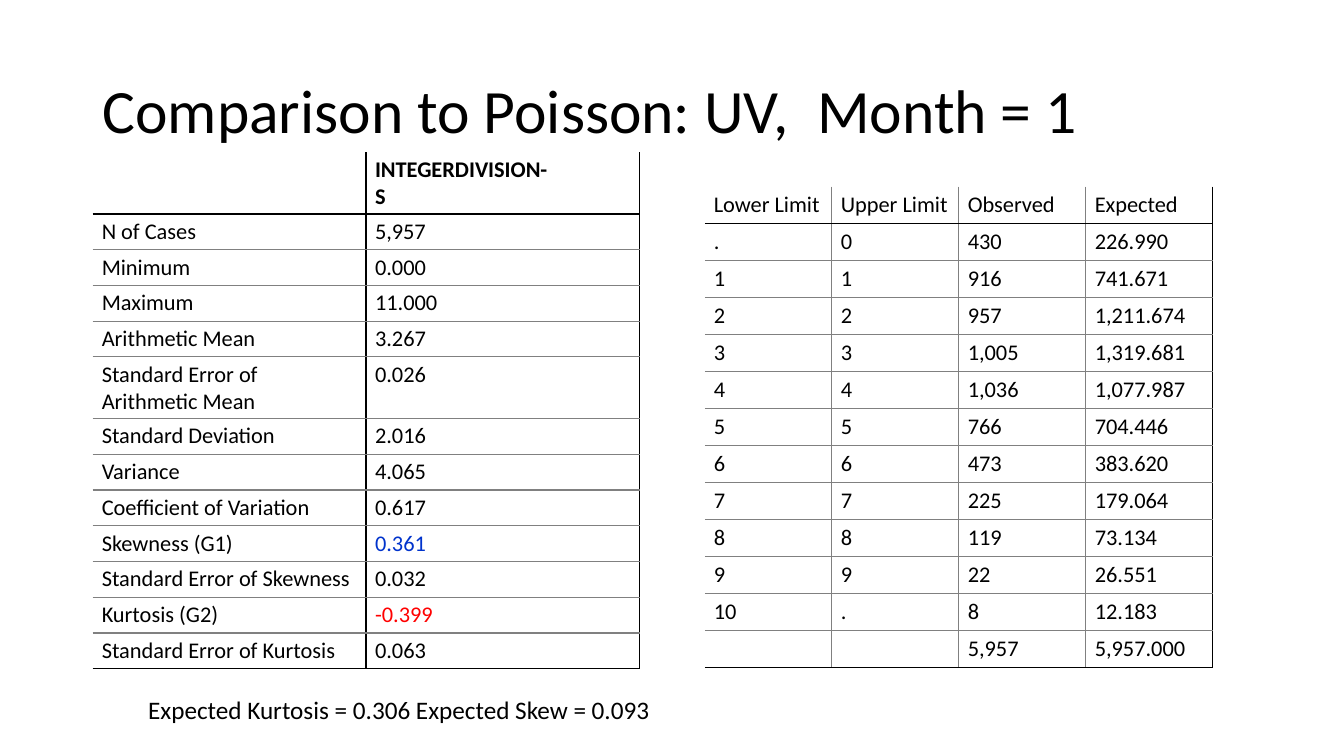
from lxml import etree
from pptx import Presentation
from pptx import util as u
from pptx.dml import color
from pptx.enum import text
from pptx.oxml import ns

THEME = {
    "font": "Calibri",
    "title": 44, "note": 18, "cell": 16,
    "ink": "000000", "rule": "808080", "positive": "0033CC", "negative": "FF0000",
    "border": 1,
}


def add_run(paragraph, wording, size, tint="ink", bold=False):
    run = paragraph.add_run()
    run.text = wording
    run.font.name = THEME["font"]
    run.font.size = u.Pt(THEME[size])
    run.font.bold = bold
    run.font.color.rgb = color.RGBColor.from_string(THEME[tint])


def add_border(properties, position, edge, tint):
    line = etree.Element(ns.qn(f"a:{edge}"), w=str(u.Pt(THEME["border"])))
    if tint:
        fill = etree.SubElement(line, ns.qn("a:solidFill"))
        etree.SubElement(fill, ns.qn("a:srgbClr"), val=THEME[tint])
    else:
        etree.SubElement(line, ns.qn("a:noFill"))
    properties.insert(position, line)


presentation = Presentation()
presentation.slide_width = u.Inches(13.33)
presentation.slide_height = u.Inches(7.5)
column = presentation.slide_width / 100
row = presentation.slide_height / 100
slide = presentation.slides.add_slide(presentation.slide_layouts[6])

texts = [
    ("Comparison to Poisson: UV,  Month = 1", "title", (6.9, 5.33, 86.25, 19.33),
     text.MSO_ANCHOR.MIDDLE, True, 0.9),
    ("Expected Kurtosis = 0.306 Expected Skew = 0.093", "note", (10.28, 91.2, 40.2, 5.33),
     text.MSO_ANCHOR.TOP, False, 1.0),
]
for wording, size, (left, top, width, height), anchor, wrap, spacing in texts:
    shape = slide.shapes.add_textbox(
        round(left * column), round(top * row), round(width * column), round(height * row))
    shape.text_frame.word_wrap = wrap
    shape.text_frame.vertical_anchor = anchor
    paragraph = shape.text_frame.paragraphs[0]
    paragraph.line_spacing = spacing
    add_run(paragraph, wording, size)

statistics = [
    ("", "INTEGERDIVISION-\nS"),
    ("N of Cases", "5,957"),
    ("Minimum", "0.000"),
    ("Maximum", "11.000"),
    ("Arithmetic Mean", "3.267"),
    ("Standard Error of Arithmetic Mean", "0.026"),
    ("Standard Deviation", "2.016"),
    ("Variance", "4.065"),
    ("Coefficient of Variation", "0.617"),
    ("Skewness (G1)", "0.361"),
    ("Standard Error of Skewness", "0.032"),
    ("Kurtosis (G2)", "-0.399"),
    ("Standard Error of Kurtosis", "0.063"),
]
frequencies = [
    ("Lower Limit", "Upper Limit", "Observed", "Expected"),
    (".", "0", "430", "226.990"),
    ("1", "1", "916", "741.671"),
    ("2", "2", "957", "1,211.674"),
    ("3", "3", "1,005", "1,319.681"),
    ("4", "4", "1,036", "1,077.987"),
    ("5", "5", "766", "704.446"),
    ("6", "6", "473", "383.620"),
    ("7", "7", "225", "179.064"),
    ("8", "8", "119", "73.134"),
    ("9", "9", "22", "26.551"),
    ("10", ".", "8", "12.183"),
    ("", "", "5,957", "5,957.000"),
]
highlights = {"0.361": "positive", "-0.399": "negative"}

tables = [
    (statistics, (6.9, 20.13, 40.66, 68.27), (0, 5), 8.13, 0.04, "ink", True),
    (frequencies, (52.44, 24.67, 37.8, 63.47), (), 0, 0.05, "rule", False),
]
for records, (left, top, width, height), tall_rows, tall, inset, divider, bold_header in tables:
    row_count, column_count = len(records), len(records[0])
    table = slide.shapes.add_table(
        row_count, column_count, round(left * column), round(top * row),
        round(width * column), round(height * row)).table
    table.first_row = False
    table.horz_banding = False
    normal = (height - len(tall_rows) * tall) / (row_count - len(tall_rows))

    for r, record in enumerate(records):
        table.rows[r].height = round((tall if r in tall_rows else normal) * row)
        for c, wording in enumerate(record):
            cell = table.cell(r, c)
            cell.fill.background()
            cell.margin_left = cell.margin_right = u.Inches(0.09)
            cell.margin_top = cell.margin_bottom = u.Inches(inset)
            paragraph = cell.text_frame.paragraphs[0]
            if wording:
                for index, part in enumerate(wording.split("\n")):
                    if index:
                        paragraph.add_line_break()
                    add_run(paragraph, part, "cell", highlights.get(wording, "ink"),
                            bold_header and r == 0)
            else:
                etree.SubElement(paragraph._p, ns.qn("a:endParaRPr"),
                                 sz=str(THEME["cell"] * 100))

            borders = {
                "lnL": divider if c else None,
                "lnR": "ink" if c == column_count - 1 else divider,
                "lnT": (None, "ink")[r] if r < 2 else "rule",
                "lnB": "ink" if r in (0, row_count - 1) else "rule",
            }
            properties = cell._tc.get_or_add_tcPr()
            for position, (edge, tint) in enumerate(borders.items()):
                add_border(properties, position, edge, tint)

presentation.save("out.pptx")
